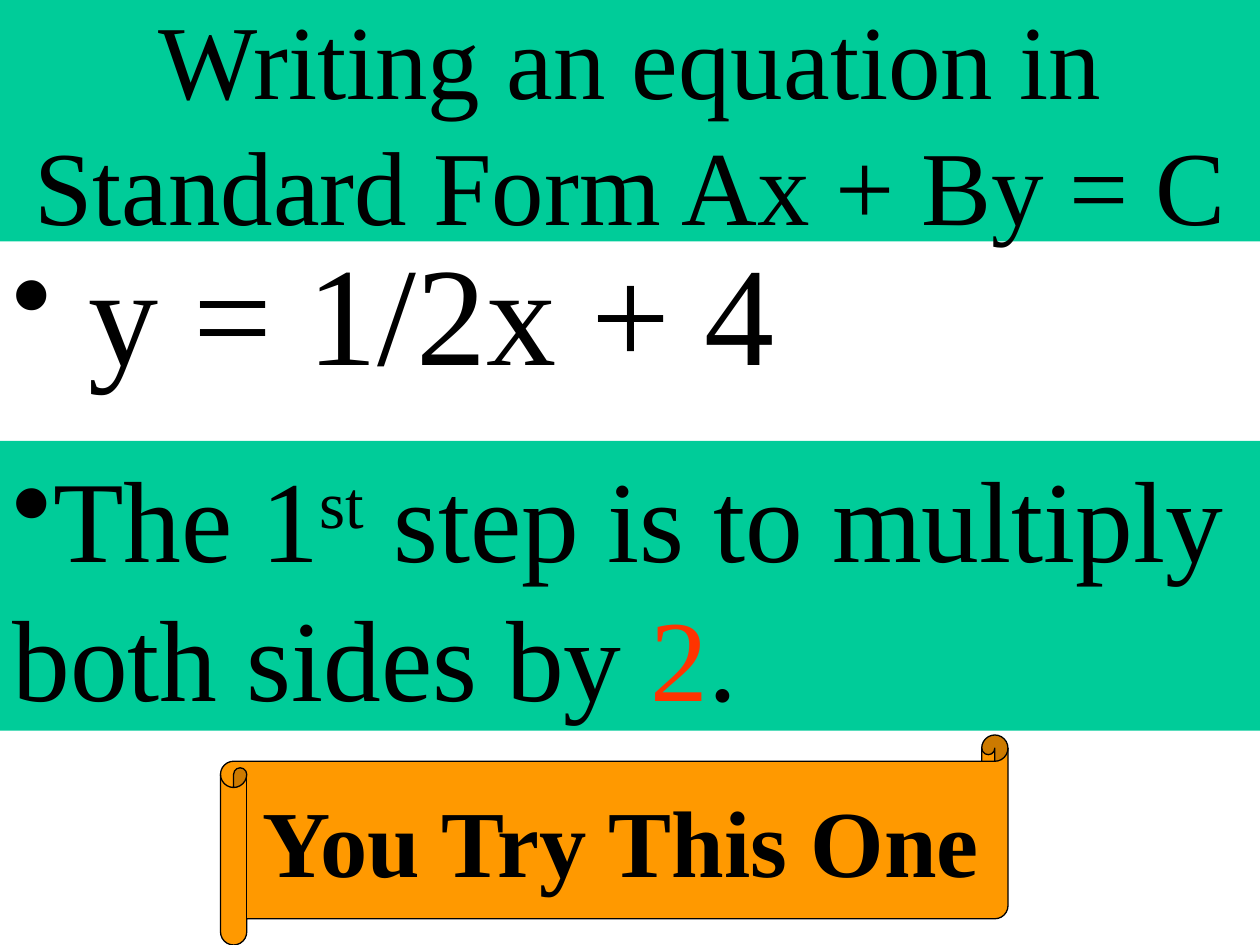
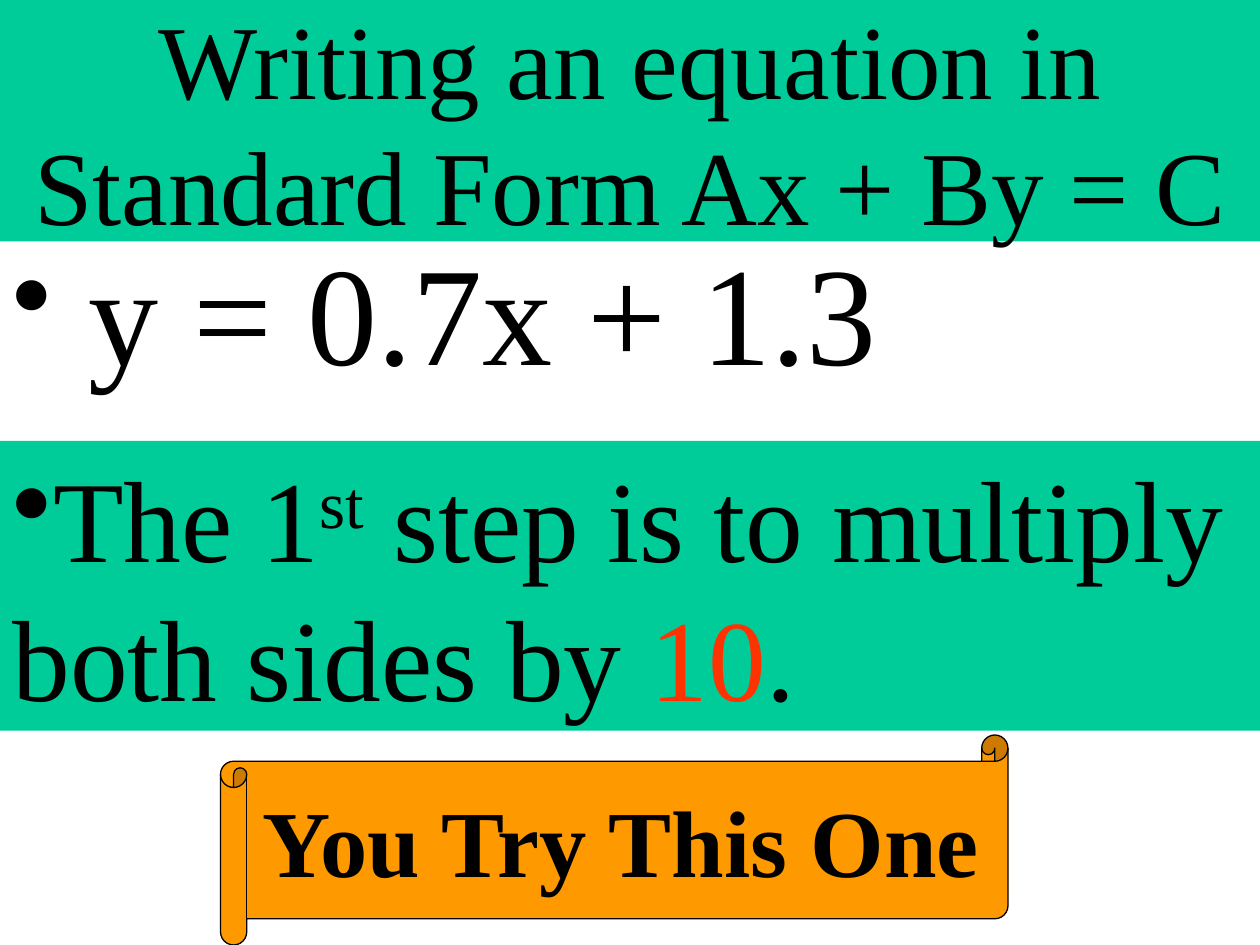
from pptx import Presentation
from pptx.dml.color import RGBColor
from pptx.enum.shapes import MSO_SHAPE
from pptx.enum.text import MSO_ANCHOR, PP_ALIGN
from pptx.oxml.ns import qn
from pptx.util import Pt
from lxml import etree

RECT, SCROLL = MSO_SHAPE.RECTANGLE, MSO_SHAPE.HORIZONTAL_SCROLL
TOP, MID = MSO_ANCHOR.TOP, MSO_ANCHOR.MIDDLE
LEFT, MIDST = PP_ALIGN.LEFT, PP_ALIGN.CENTER
FONT = "Times New Roman"
HUES = {"ink": "000000", "band": "00CC99", "key": "FF3300", "scroll": "FF9900"}
WIDE, HIGH = 720, 540


def hue(name):
    return RGBColor.from_string(HUES[name])


def block(slide, kind, spot, fill, runs, form, hang=None):
    """Add a shape with one paragraph; hang is its bullet indent in points.

    Each run is (text, size, colour, bold, raise in percent).
    """
    shape = slide.shapes.add_shape(kind, *map(Pt, spot))
    shape.shadow.inherit = False
    shape.line.fill.background()
    if fill:
        shape.fill.solid()
        shape.fill.fore_color.rgb = hue(fill)
    else:
        shape.fill.background()

    frame = shape.text_frame
    look = {"margin_left": Pt(7.2), "margin_right": Pt(7.2),
            "margin_top": Pt(3.6), "margin_bottom": Pt(3.6),
            "word_wrap": True, **form}
    for name, value in look.items():
        setattr(frame, name, value)

    para = frame.paragraphs[0]
    para.alignment = MIDST if hang is None else LEFT
    if hang is not None:
        props = para._p.get_or_add_pPr()
        props.set("marL", str(Pt(hang)))
        props.set("indent", str(-Pt(hang)))
        tint = etree.SubElement(props, qn("a:buClr"))
        etree.SubElement(tint, qn("a:srgbClr"), val=HUES["ink"])
        etree.SubElement(props, qn("a:buChar"), char="•")
    for text, size, color, bold, lift in runs:
        run = para.add_run()
        run.text = text
        for name, value in {"name": FONT, "size": Pt(size), "bold": bold}.items():
            setattr(run.font, name, value)
        run.font.color.rgb = hue(color)
        if lift:
            run.font._element.set("baseline", str(lift * 1000))
    return shape


deck = Presentation()
deck.slide_width, deck.slide_height = Pt(WIDE), Pt(HIGH)

for sum_text, times in [("y = 1/2x + 4", "2"), ("y = 0.7x + 1.3", "10")]:
    slide = deck.slides.add_slide(deck.slide_layouts[6])

    title = "Writing an equation in Standard Form Ax + By = C"
    block(slide, RECT, (0, 0, WIDE, 138), "band",
          [(title, 60, "ink", False, 0)], {"vertical_anchor": MID})

    given = block(slide, RECT, (0, 144, WIDE, 90), None,
                  [(" ", 66, "ink", False, 0), (sum_text, 80, "ink", False, 0)],
                  {"vertical_anchor": TOP}, hang=27)
    given.text_frame.paragraphs[0].line_spacing = 0.8

    step = [("The 1", "ink", 0), ("st", "ink", 30),
            (" step is to multiply both sides by ", "ink", 0),
            (times, "key", 0), (".", "ink", 0)]
    block(slide, RECT, (0, 252, WIDE, 165.6), "band",
          [(text, 66, color, False, lift) for text, color, lift in step],
          {"vertical_anchor": TOP}, hang=0)

    banner = block(slide, SCROLL, (126, 420, 450, 120), "scroll",
                   [("You Try This One", 54, "ink", True, 0)],
                   {"vertical_anchor": MID, "word_wrap": False})
    banner.line.color.rgb = hue("ink")
    banner.line.width = Pt(0.75)

deck.save("out.pptx")
